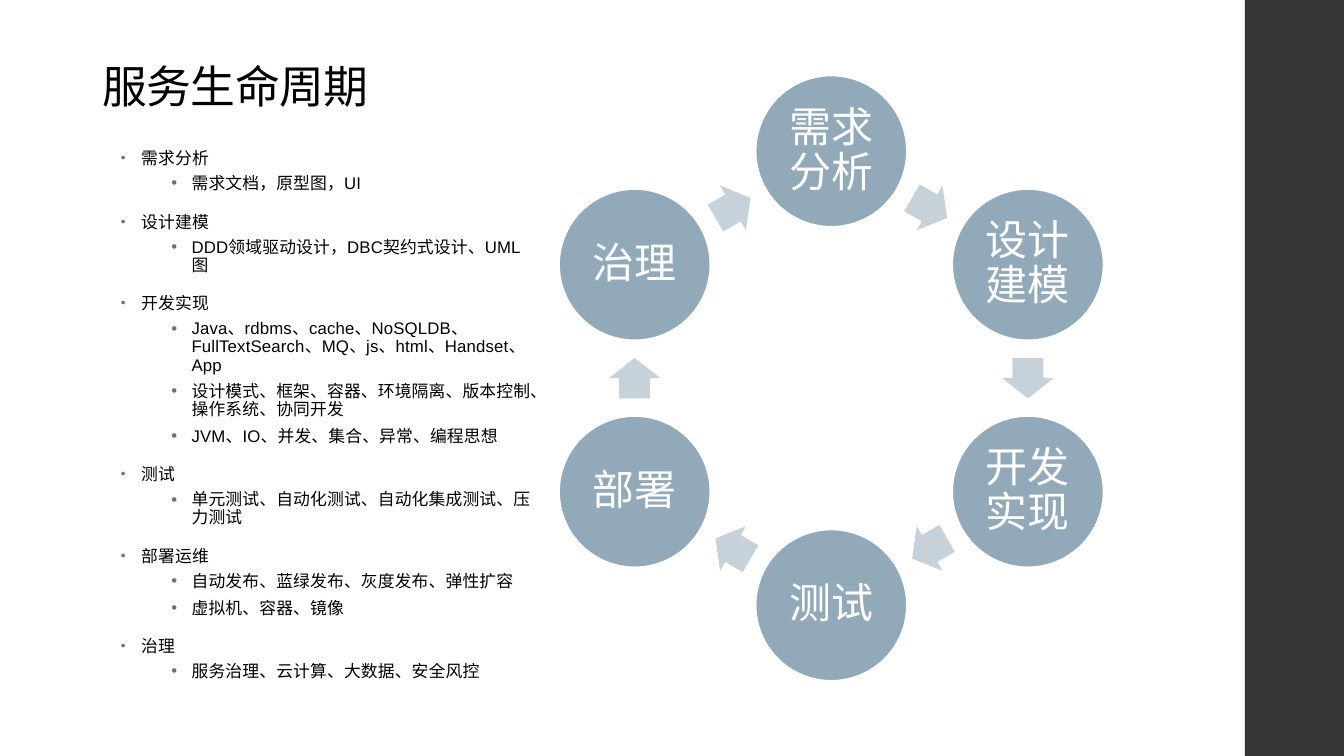
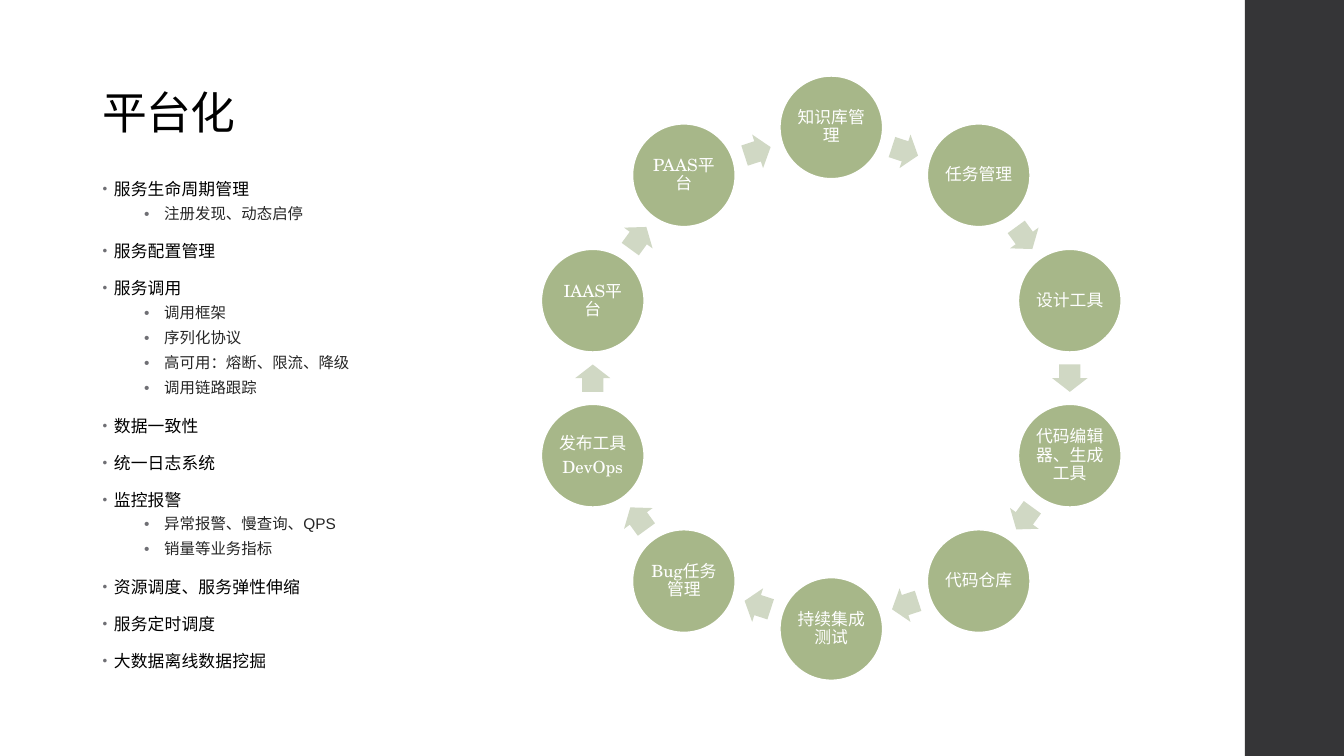
import math

from lxml import etree
from pptx import Presentation
from pptx import util as u
from pptx.dml import color as c
from pptx.enum import shapes, text
from pptx.oxml import ns

HEAD_FONT = "TeX Gyre Schola"
BODY_FONT = "Arial"
CENTER_X, CENTER_Y = 20.95, 9.53
INDENT = -0.51

SLIDES = [
    {
        "title": "服务生命周期", "title_top": 1.27,
        "body_top": 3.53, "body_size": (11.35, 13.61), "margins": (0.97, 2.24),
        "sub": (12, "000000", 10),
        "body": [
            (0, "需求分析"),
            (1, "需求文档，原型图，UI"),
            (0, "设计建模"),
            (1, "DDD领域驱动设计，DBC契约式设计、UML图"),
            (0, "开发实现"),
            (1, "Java、rdbms、cache、NoSQLDB、FullTextSearch、MQ、js、html、Handset、App"),
            (1, "设计模式、框架、容器、环境隔离、版本控制、操作系统、协同开发"),
            (1, "JVM、IO、并发、集合、异常、编程思想"),
            (0, "测试"),
            (1, "单元测试、自动化测试、自动化集成测试、压力测试"),
            (0, "部署运维"),
            (1, "自动发布、蓝绿发布、灰度发布、弹性扩容"),
            (1, "虚拟机、容器、镜像"),
            (0, "治理"),
            (1, "服务治理、云计算、大数据、安全风控"),
        ],
        "steps": ["需求分析", "设计建模", "开发实现", "测试", "部署", "治理"],
        "radius": 5.72, "circle": 3.81, "arrow": (1.02, 1.3),
        "inset": 0.1, "step_size": 30, "fills": ("92A9B9", "C7D1D9"),
    },
    {
        "title": "平台化", "title_top": 1.93,
        "body_top": 4.32, "body_size": (8.89, 12.83), "margins": (0.28, 1.55),
        "sub": (11, "262626", 0),
        "body": [
            (0, "服务生命周期管理"),
            (1, "注册发现、动态启停"),
            (0, "服务配置管理"),
            (0, "服务调用"),
            (1, "调用框架"),
            (1, "序列化协议"),
            (1, "高可用：熔断、限流、降级"),
            (1, "调用链路跟踪"),
            (0, "数据一致性"),
            (0, "统一日志系统"),
            (0, "监控报警"),
            (1, "异常报警、慢查询、QPS"),
            (1, "销量等业务指标"),
            (0, "资源调度、服务弹性伸缩"),
            (0, "服务定时调度"),
            (0, "大数据离线数据挖掘"),
        ],
        "steps": ["知识库管理", "任务管理", "设计工具", "代码编辑器、生成工具", "代码仓库",
                  "持续集成测试", "Bug任务管理", "发布工具\nDevOps", "IAAS平台", "PAAS平台"],
        "radius": 6.32, "circle": 2.59, "arrow": (0.69, 0.89),
        "inset": 0.05, "step_size": 12, "fills": ("A7B789", "D0D8C4"),
    },
]


def add_shape(s, kind, x, y, w, h, fill):
    sp = s.shapes.add_shape(kind, u.Cm(x), u.Cm(y), u.Cm(w), u.Cm(h))
    sp.shadow.inherit = False
    sp.fill.solid()
    sp.fill.fore_color.rgb = c.RGBColor.from_string(fill)
    sp.line.fill.background()
    return sp


def add_paragraph(tf, i, words, size, font, color, spc=0, spacing=0.9, before=0, after=0):
    p = tf.add_paragraph() if i else tf.paragraphs[0]
    p.line_spacing = spacing
    p.space_before, p.space_after = u.Pt(before), u.Pt(after)
    r = p.add_run()
    r.text = words
    r.font.size, r.font.name = u.Pt(size), font
    r.font.color.rgb = c.RGBColor.from_string(color)
    r._r.get_or_add_rPr().set("spc", str(spc))
    return p


prs = Presentation()
prs.slide_width, prs.slide_height = u.Cm(33.87), u.Cm(19.05)

for d in SLIDES:
    s = prs.slides.add_slide(prs.slide_layouts[6])
    add_shape(s, shapes.MSO_SHAPE.RECTANGLE, 31.37, 0, 2.5, 19.05, "353537")

    tf = s.shapes.add_textbox(u.Cm(2.34), u.Cm(d["title_top"]), u.Cm(8.89), u.Cm(1.7)).text_frame
    tf.word_wrap = True
    tf.vertical_anchor = text.MSO_ANCHOR.BOTTOM
    add_paragraph(tf, 0, d["title"], 32, HEAD_FONT, "000000", -50)

    n = len(d["steps"])
    size = d["circle"]
    arrow_w, arrow_h = d["arrow"]
    mid_radius = d["radius"] * math.cos(math.pi / n)
    for i, step in enumerate(d["steps"]):
        a = 2 * math.pi * i / n
        x = CENTER_X + d["radius"] * math.sin(a)
        y = CENTER_Y - d["radius"] * math.cos(a)
        sp = add_shape(s, shapes.MSO_SHAPE.OVAL, x - size / 2, y - size / 2, size, size, d["fills"][0])
        sp.line.color.rgb = c.RGBColor.from_string("FFFFFF")
        sp.line.width = u.Pt(1.1)
        tf = sp.text_frame
        tf.word_wrap = True
        tf.vertical_anchor = text.MSO_ANCHOR.MIDDLE
        tf.margin_left = tf.margin_right = tf.margin_top = tf.margin_bottom = u.Cm(d["inset"])
        for j, words in enumerate(step.split("\n")):
            p = add_paragraph(tf, j, words, d["step_size"], HEAD_FONT, "FFFFFF",
                              after=d["step_size"] * 0.35)
            p.alignment = text.PP_ALIGN.CENTER

        a += math.pi / n
        x = CENTER_X + mid_radius * math.sin(a)
        y = CENTER_Y - mid_radius * math.cos(a)
        sp = add_shape(s, shapes.MSO_SHAPE.RIGHT_ARROW, x - arrow_w / 2, y - arrow_h / 2,
                       arrow_w, arrow_h, d["fills"][1])
        sp.adjustments[0], sp.adjustments[1] = 0.6, 0.5
        sp.rotation = math.degrees(a)

    w, h = d["body_size"]
    tf = s.shapes.add_textbox(u.Cm(2.34), u.Cm(d["body_top"]), u.Cm(w), u.Cm(h)).text_frame
    tf.word_wrap = True
    for i, (level, words) in enumerate(d["body"]):
        if level:
            sz, color, spc = d["sub"]
            p = add_paragraph(tf, i, words, sz, BODY_FONT, color, spc, 0.9, 3, 3)
        else:
            p = add_paragraph(tf, i, words, 12, BODY_FONT, "000000", 10, 1.14, 8, 2)
        p.level = level
        pPr = p._p.get_or_add_pPr()
        pPr.set("marL", str(u.Cm(d["margins"][level])))
        pPr.set("indent", str(u.Cm(INDENT)))
        bu = etree.SubElement(pPr, ns.qn("a:buClr"))
        etree.SubElement(bu, ns.qn("a:srgbClr"), val="6F6F74")
        etree.SubElement(pPr, ns.qn("a:buSzPct"), val="100000" if level else "80000")
        etree.SubElement(pPr, ns.qn("a:buFont"), typeface=BODY_FONT)
        etree.SubElement(pPr, ns.qn("a:buChar"), char="•")

prs.save("out.pptx")
